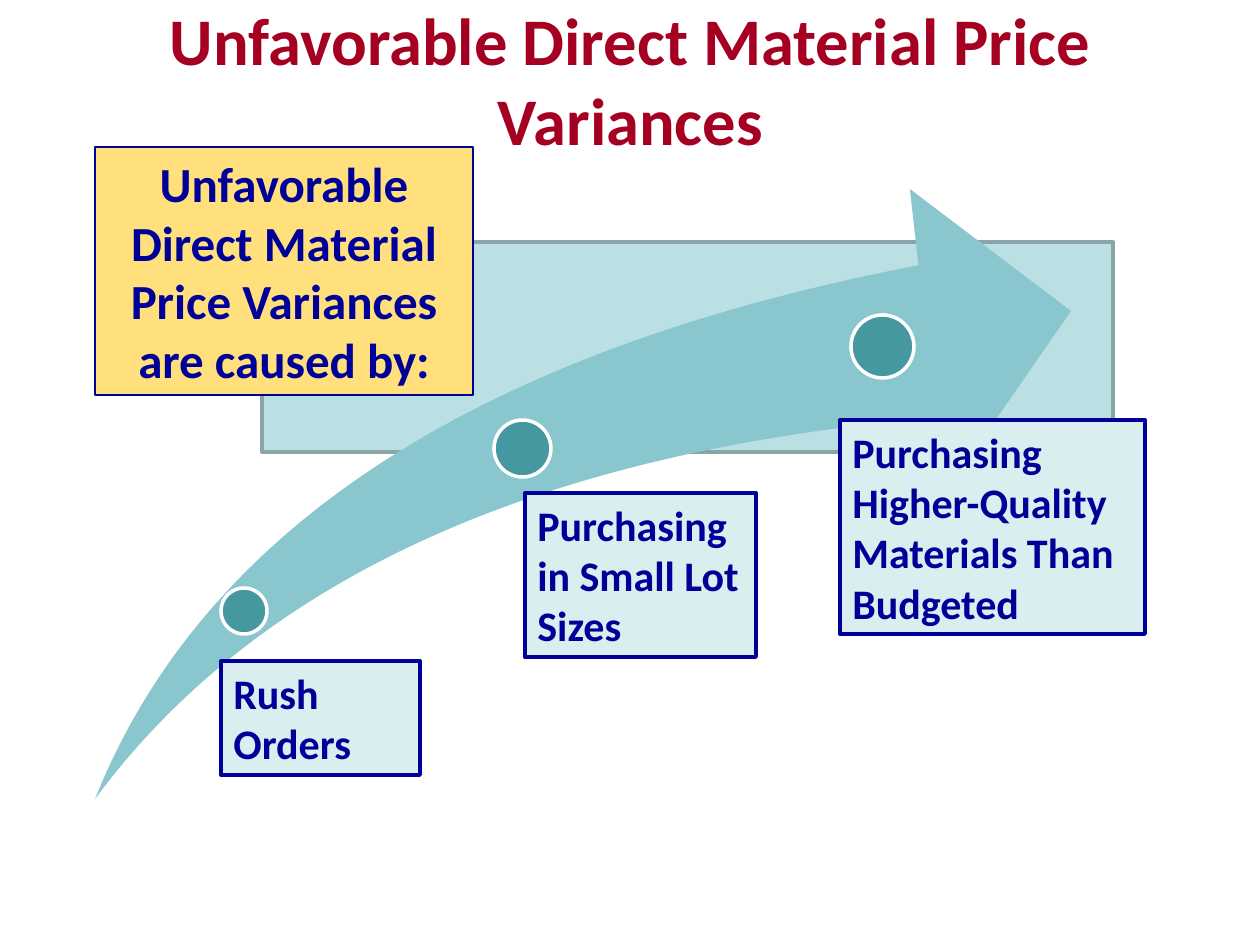
from dataclasses import dataclass

from pptx import Presentation
from pptx.dml.color import RGBColor
from pptx.enum.shapes import MSO_SHAPE
from pptx.enum.text import MSO_ANCHOR, PP_ALIGN
from pptx.util import Emu, Pt

EMU_PER_PX = 914400 // 126
RECTANGLE, OVAL, SWOOSH = MSO_SHAPE.RECTANGLE, MSO_SHAPE.OVAL, MSO_SHAPE.SWOOSH_ARROW
LEFT, CENTER = PP_ALIGN.LEFT, PP_ALIGN.CENTER
TOP, MIDDLE = MSO_ANCHOR.TOP, MSO_ANCHOR.MIDDLE

COLORS = {
    "title": "A50021",
    "navy": "000099",
    "panel": "BBE0E3",
    "panel_line": "8AA5A7",
    "swoosh": "8AC6CD",
    "dot": "4597A0",
    "white": "FFFFFF",
    "cause": "DAEDEF",
    "heading": "FFE07D",
}


@dataclass(frozen=True)
class Box:
    """A rectangle in px."""
    left: int
    top: int
    width: int
    height: int

    def emu(self) -> list[Emu]:
        return [px(n) for n in (self.left, self.top, self.width, self.height)]


@dataclass(frozen=True)
class Cause:
    """A cause of the variance: its label and the dot that marks it."""
    lines: tuple[str, ...]
    box: Box
    dot: Box


TITLE = "Unfavorable Direct Material Price Variances"
TITLE_BOX = Box(53, 0, 1155, 158)
HEADING = "Unfavorable Direct Material Price Variances are caused by:"
HEADING_BOX = Box(95, 147, 378, 248)
PANEL_BOX = Box(262, 242, 851, 210)
SWOOSH_BOX = Box(95, 189, 976, 610)

CAUSES = (
    Cause(("Rush Orders",), Box(221, 661, 199, 114), Box(221, 588, 46, 46)),
    Cause(("Purchasing", "in Small Lot Sizes"),
          Box(525, 493, 231, 164), Box(494, 420, 57, 57)),
    Cause(("Purchasing", "Higher-Quality Materials Than Budgeted"),
          Box(840, 420, 305, 214), Box(851, 315, 63, 63)),
)


def px(length: int) -> Emu:
    return Emu(length * EMU_PER_PX)


def color(name: str) -> RGBColor:
    return RGBColor.from_string(COLORS[name])


def add_figure(slide, kind, box: Box, fill: str, line: str = "", weight: float = 0):
    """Add a flat preset shape; without a line colour it has no outline."""
    shape = slide.shapes.add_shape(kind, *box.emu())
    shape.shadow.inherit = False
    shape.fill.solid()
    shape.fill.fore_color.rgb = color(fill)
    if line:
        shape.line.color.rgb = color(line)
        shape.line.width = Pt(weight)
    else:
        shape.line.fill.background()
    return shape


def write(shape, lines: tuple[str, ...], size: int, ink: str, align, anchor) -> None:
    frame = shape.text_frame
    frame.word_wrap = True
    frame.vertical_anchor = anchor
    frame.text = "\n".join(lines)
    font_format = {"name": "Calibri", "size": Pt(size), "bold": True}
    for paragraph in frame.paragraphs:
        paragraph.alignment = align
        for run in paragraph.runs:
            for attribute, value in font_format.items():
                setattr(run.font, attribute, value)
            run.font.color.rgb = color(ink)


def main() -> None:
    presentation = Presentation()
    presentation.slide_width, presentation.slide_height = px(1260), px(945)
    slide = presentation.slides.add_slide(presentation.slide_layouts[6])

    add_figure(slide, RECTANGLE, PANEL_BOX, "panel", "panel_line", 2)
    title = slide.shapes.add_textbox(*TITLE_BOX.emu())
    write(title, (TITLE,), 38, "title", CENTER, MIDDLE)

    swoosh = add_figure(slide, SWOOSH, SWOOSH_BOX, "swoosh")
    swoosh.adjustments[0] = swoosh.adjustments[1] = 0.25

    heading = add_figure(slide, RECTANGLE, HEADING_BOX, "heading", "navy", 0.75)
    write(heading, (HEADING,), 28, "navy", CENTER, TOP)

    for cause in CAUSES:
        add_figure(slide, OVAL, cause.dot, "dot", "white", 2)
        label = add_figure(slide, RECTANGLE, cause.box, "cause", "navy", 2.25)
        write(label, cause.lines, 24, "navy", LEFT, TOP)

    presentation.save("out.pptx")


if __name__ == "__main__":
    main()
